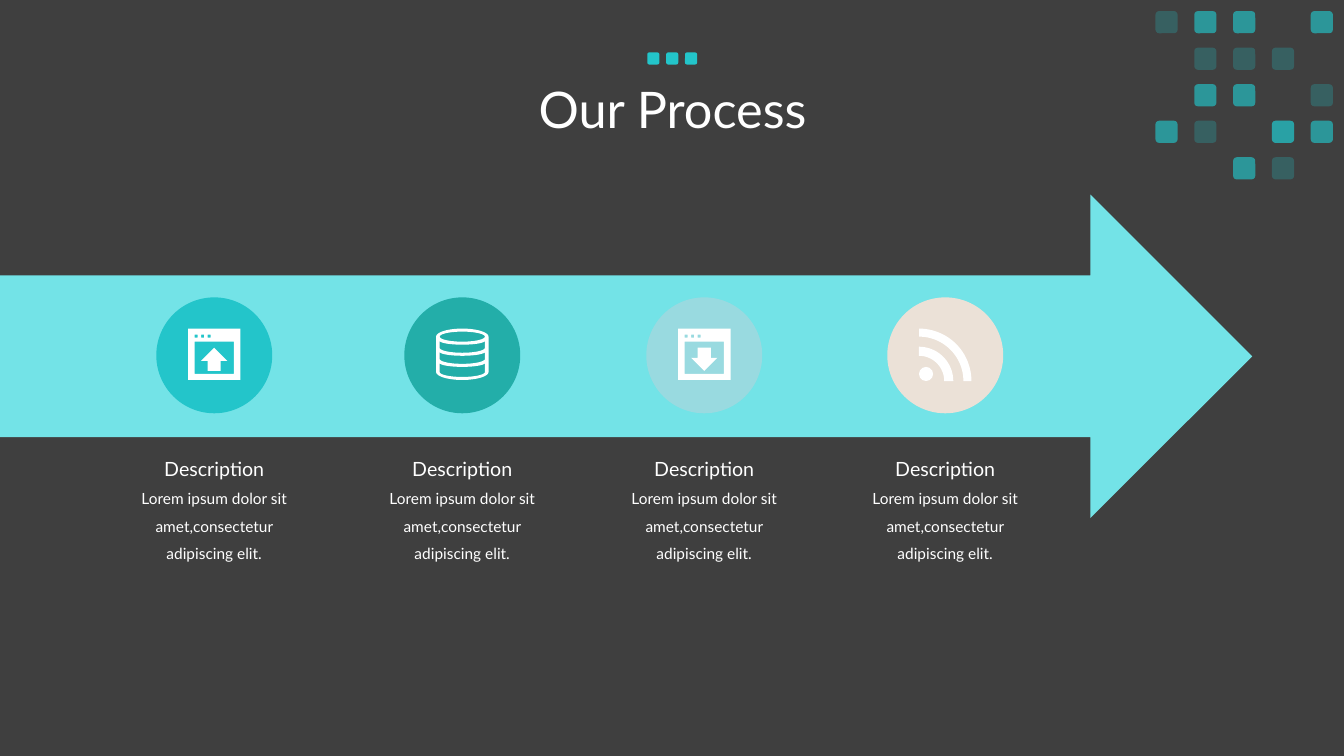
from math import cos, radians, sin

from pptx import Presentation
from pptx.dml.color import RGBColor
from pptx.enum import shapes as sh, text as tx
from pptx.oxml.ns import qn
from pptx.util import Inches, Pt
from lxml import etree

TEAL, WHITE = "23C5CA", "FFFFFF"


def paint(shape, color, opacity=100):
    """Give a shape a plain fill without line or shadow; opacity in percent."""
    shape.shadow.inherit = False
    shape.line.fill.background()
    shape.fill.solid()
    shape.fill.fore_color.rgb = RGBColor.from_string(color)
    if opacity < 100:
        tint = shape._element.spPr.find(".//" + qn("a:srgbClr"))
        etree.SubElement(tint, qn("a:alpha")).set("val", str(opacity * 1000))


def arc(cx, cy, rx, ry, start, end, steps=24):
    """Points in inches along an ellipse, clockwise from start to end degrees."""
    angles = [radians(start + (end - start) * i / steps) for i in range(steps + 1)]
    return [(cx + rx * cos(a), cy + ry * sin(a)) for a in angles]


prs = Presentation()
prs.slide_width, prs.slide_height = Inches(13.33), Inches(7.5)
slide = prs.slides.add_slide(prs.slide_layouts[5])
slide.background.fill.solid()
slide.background.fill.fore_color.rgb = RGBColor.from_string("3F3F3F")

title = slide.shapes.title
title.left, title.top, title.width, title.height = map(Inches, (0.92, 0.39, 11.5, 1.45))
title.text_frame.text = "Our Process"
title.text_frame.vertical_anchor = tx.MSO_ANCHOR.MIDDLE
heading = title.text_frame.paragraphs[0]
heading.alignment = tx.PP_ALIGN.CENTER
heading.line_spacing = 0.9
heading.font.size, heading.font.name = Pt(36), "Lato"
heading.font.color.rgb = RGBColor.from_string(WHITE)

# Corner mosaic: opacities stacked in each cell
mosaic = [
    [[25], [65], [65], [], [65]],
    [[], [25], [25], [25], []],
    [[], [65], [65], [], [25]],
    [[65], [25], [], [65, 25], [65]],
    [[], [], [65], [25], []],
]
corner = slide.shapes.add_group_shape().shapes
for row, cells in enumerate(mosaic):
    for column, opacities in enumerate(cells):
        for opacity in opacities:
            tile = corner.add_shape(
                sh.MSO_SHAPE.ROUNDED_RECTANGLE, Inches(11.46 + 0.385 * column),
                Inches(0.11 + 0.3625 * row), Inches(0.22), Inches(0.22))
            paint(tile, TEAL, opacity)

title_dots = slide.shapes.add_group_shape().shapes
for i in range(3):
    dot = title_dots.add_shape(
        sh.MSO_SHAPE.ROUNDED_RECTANGLE, Inches(6.42 + 0.187 * i), Inches(0.52),
        Inches(0.12), Inches(0.12))
    paint(dot, TEAL)

process_arrow = slide.shapes.add_shape(
    sh.MSO_SHAPE.NOTCHED_RIGHT_ARROW, Inches(-0.81), Inches(1.93), Inches(13.23), Inches(3.21))
paint(process_arrow, "73E3E7")

steps = [(2.125, TEAL, "upload"), (4.585, "23AEA9", "database"),
         (6.985, "99DAE0", "download"), (9.375, "EBE1D7", "feed")]
for cx, color, icon in steps:
    circle = slide.shapes.add_shape(
        sh.MSO_SHAPE.OVAL, Inches(cx - 0.575), Inches(2.95), Inches(1.15), Inches(1.15))
    paint(circle, color)

    captions = [
        ("Description", 4.48, 1.25, 0.34, 14, None),
        ("Lorem ipsum dolor sit amet,consectetur adipiscing elit.", 4.71, 1.98, 0.9, 11, 1.5),
    ]
    for wording, top, width, height, size, spacing in captions:
        caption = slide.shapes.add_textbox(
            Inches(cx - width / 2), Inches(top), Inches(width), Inches(height))
        frame = caption.text_frame
        frame.text = wording
        frame.word_wrap = spacing is not None
        frame.auto_size = tx.MSO_AUTO_SIZE.SHAPE_TO_FIT_TEXT
        line = frame.paragraphs[0]
        line.alignment = tx.PP_ALIGN.CENTER
        line.line_spacing = spacing
        line.font.size, line.font.name = Pt(size), "Lato"
        line.font.color.rgb = RGBColor.from_string(WHITE)

    # Each icon is a list of outlines; each outline is a list of closed contours
    icon_shapes = slide.shapes
    if icon != "database":
        icon_shapes = slide.shapes.add_group_shape().shapes
    if icon == "database":
        contours = [
            arc(cx, 3.34, 0.26, 0.08, 180, 360) + arc(cx, 3.69, 0.26, 0.08, 0, 180),
            arc(cx, 3.34, 0.225, 0.05, 0, 360),
        ]
        for upper, lower in [(3.38, 3.45), (3.49, 3.56), (3.6, 3.69)]:
            contours.append(arc(cx, upper, 0.225, 0.04, 180, 0)
                            + arc(cx, lower, 0.225, 0.05, 0, 180))
        outlines = [contours]
    elif icon == "feed":
        left, base = cx - 0.26, 3.78
        outlines = [[arc(left, base, outer, outer, -90, 0) + arc(left, base, inner, inner, 0, -90)]
                    for outer, inner in [(0.34, 0.25), (0.52, 0.44)]]
        source_dot = icon_shapes.add_shape(
            sh.MSO_SHAPE.OVAL, Inches(left), Inches(3.64), Inches(0.14), Inches(0.14))
        paint(source_dot, WHITE)
    else:
        boxes = [(-0.26, 3.26, 0.26, 3.77), (-0.195, 3.39, 0.195, 3.71)]
        boxes += [(x, 3.32, x + 0.03, 3.35) for x in (-0.195, -0.13, -0.065)]
        window = [[(cx + l, t), (cx + r, t), (cx + r, b), (cx + l, b)] for l, t, r, b in boxes]
        pointer = [(0.13, 3.55), (0.065, 3.55), (0.065, 3.45), (-0.065, 3.45),
                   (-0.065, 3.55), (-0.13, 3.55), (0, 3.68)]
        if icon == "upload":
            pointer = [(x, 7.13 - y) for x, y in pointer]
        outlines = [window, [[(cx + x, y) for x, y in pointer]]]

    for contours in outlines:
        points = [[(Inches(x), Inches(y)) for x, y in contour] for contour in contours]
        builder = icon_shapes.build_freeform(*points[0][0])
        for i, contour in enumerate(points):
            if i:
                builder.move_to(*contour[0])
            builder.add_line_segments(contour[1:], close=True)
        paint(builder.convert_to_shape(), WHITE)

prs.save("out.pptx")
